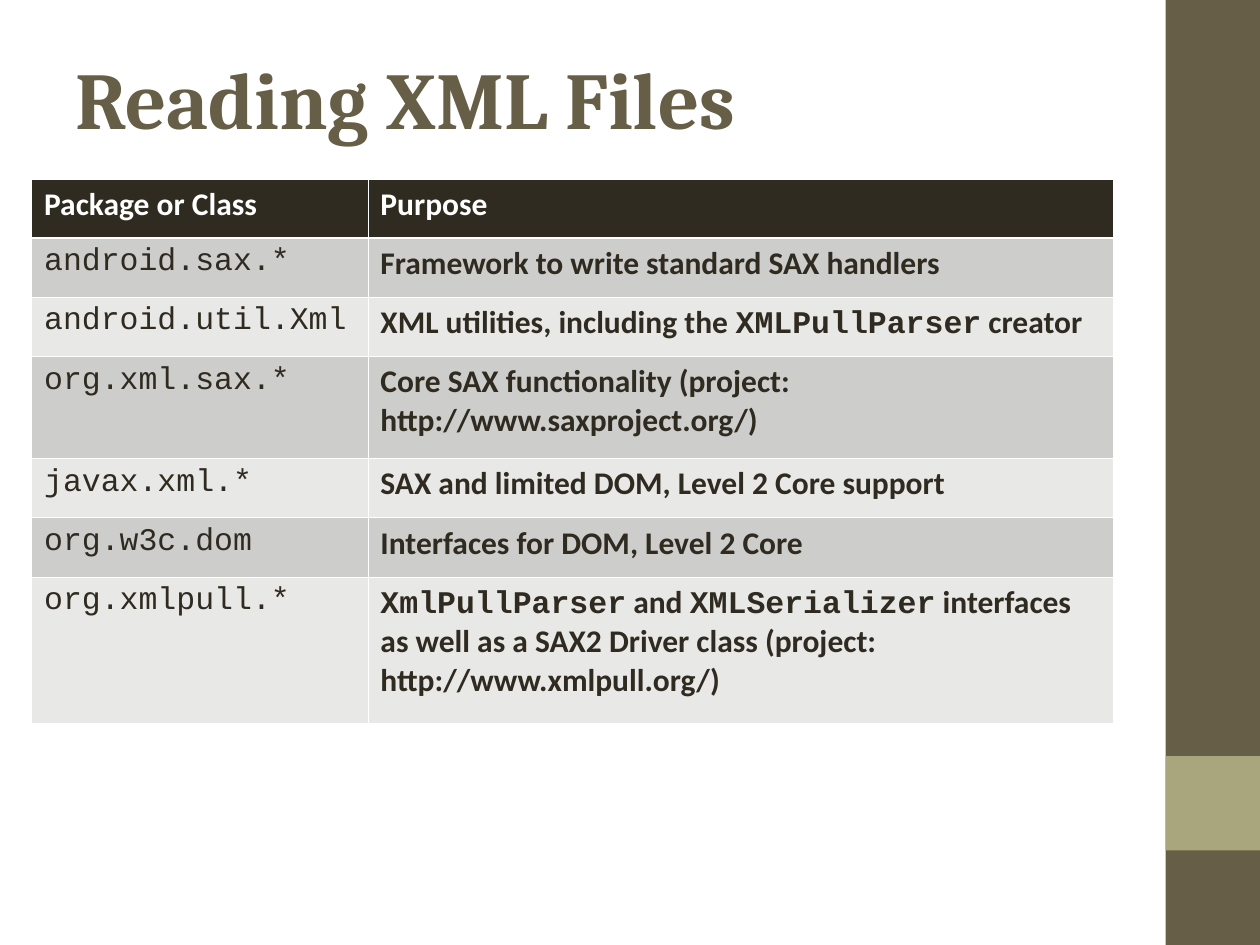
from dataclasses import dataclass

from lxml import etree
from pptx import Presentation
from pptx.dml.color import RGBColor
from pptx.enum.shapes import MSO_SHAPE
from pptx.enum.text import MSO_ANCHOR
from pptx.oxml.ns import qn
from pptx.util import Inches, Pt

RECT = MSO_SHAPE.RECTANGLE
MIDDLE = MSO_ANCHOR.MIDDLE


@dataclass(frozen=True)
class Theme:
    brown: str = "675E47"
    olive: str = "A9A57C"
    dark: str = "2F2B20"
    white: str = "FFFFFF"
    bands: tuple = ("CDCDCC", "E8E8E7")
    title_font: str = "Cambria"
    body_font: str = "Calibri"
    code_font: str = "Courier New"
    title_size: int = 46
    body_size: int = 18
    thin: float = 0.45
    thick: float = 1.47


T = Theme()

# Text between backticks is set in the code font.
ROWS = [
    (0.47, "Package or Class", "Purpose"),
    (0.47, "`android.sax.*`", "Framework to write standard SAX handlers"),
    (0.47, "`android.util.Xml`", "XML utilities, including the `XMLPullParser` creator"),
    (0.81, "`org.xml.sax.*`", "Core SAX functionality (project: http://www.saxproject.org/)"),
    (0.47, "`javax.xml.*`", "SAX and limited DOM, Level 2 Core support"),
    (0.47, "`org.w3c.dom`", "Interfaces for DOM, Level 2 Core"),
    (1.16, "`org.xmlpull.*`", "`XmlPullParser` and `XMLSerializer` interfaces as well as a SAX2 "
                              "Driver class (project: http://www.xmlpull.org/)"),
]
COL_WIDTHS = (2.67, 5.92)


def style_run(r, font, size, color, bold):
    r.font.name = font
    r.font.size = Pt(size)
    r.font.color.rgb = RGBColor.from_string(color)
    r.font.bold = bold


def add_border(cell, side, width):
    """Draw a white line on one side (L, R, T or B); call before setting the fill."""
    ln = etree.SubElement(cell._tc.get_or_add_tcPr(), qn(f"a:ln{side}"), w=str(Pt(width)))
    fill = etree.SubElement(ln, qn("a:solidFill"))
    etree.SubElement(fill, qn("a:srgbClr"), val=T.white)


prs = Presentation()
prs.slide_width, prs.slide_height = Inches(10), Inches(7.5)
s = prs.slides.add_slide(prs.slide_layouts[6])

# Side bar with its accent block
for top, height, color in ((0, 7.5, T.brown), (6, 0.75, T.olive)):
    sp = s.shapes.add_shape(RECT, Inches(9.25), Inches(top), Inches(0.75), Inches(height))
    sp.shadow.inherit = False
    sp.fill.solid()
    sp.fill.fore_color.rgb = RGBColor.from_string(color)
    sp.line.fill.background()

# Title
tf = s.shapes.add_textbox(Inches(0.5), Inches(0.3), Inches(9), Inches(0.95)).text_frame
tf.word_wrap = True
tf.vertical_anchor = MIDDLE
tf.text = "Reading XML Files"
style_run(tf.paragraphs[0].runs[0], T.title_font, T.title_size, T.brown, True)

# Table of packages
table = s.shapes.add_table(
    len(ROWS), len(COL_WIDTHS), Inches(0.25), Inches(1.42),
    Inches(sum(COL_WIDTHS)), Inches(sum(row[0] for row in ROWS)),
).table
for column, width in zip(table.columns, COL_WIDTHS):
    column.width = Inches(width)

for i, (height, *texts) in enumerate(ROWS):
    table.rows[i].height = Inches(height)
    header = i == 0
    for j, text in enumerate(texts):
        cell = table.cell(i, j)
        for side in "LRTB":
            under_header = (i, side) in ((0, "B"), (1, "T"))
            add_border(cell, side, T.thick if under_header else T.thin)
        cell.fill.solid()
        cell.fill.fore_color.rgb = RGBColor.from_string(T.dark if header else T.bands[(i - 1) % 2])
        p = cell.text_frame.paragraphs[0]
        for k, part in enumerate(text.split("`")):
            if part:
                r = p.add_run()
                r.text = part
                style_run(r, T.code_font if k % 2 else T.body_font, T.body_size,
                          T.white if header else T.dark, header or j == 1)

prs.save("out.pptx")
